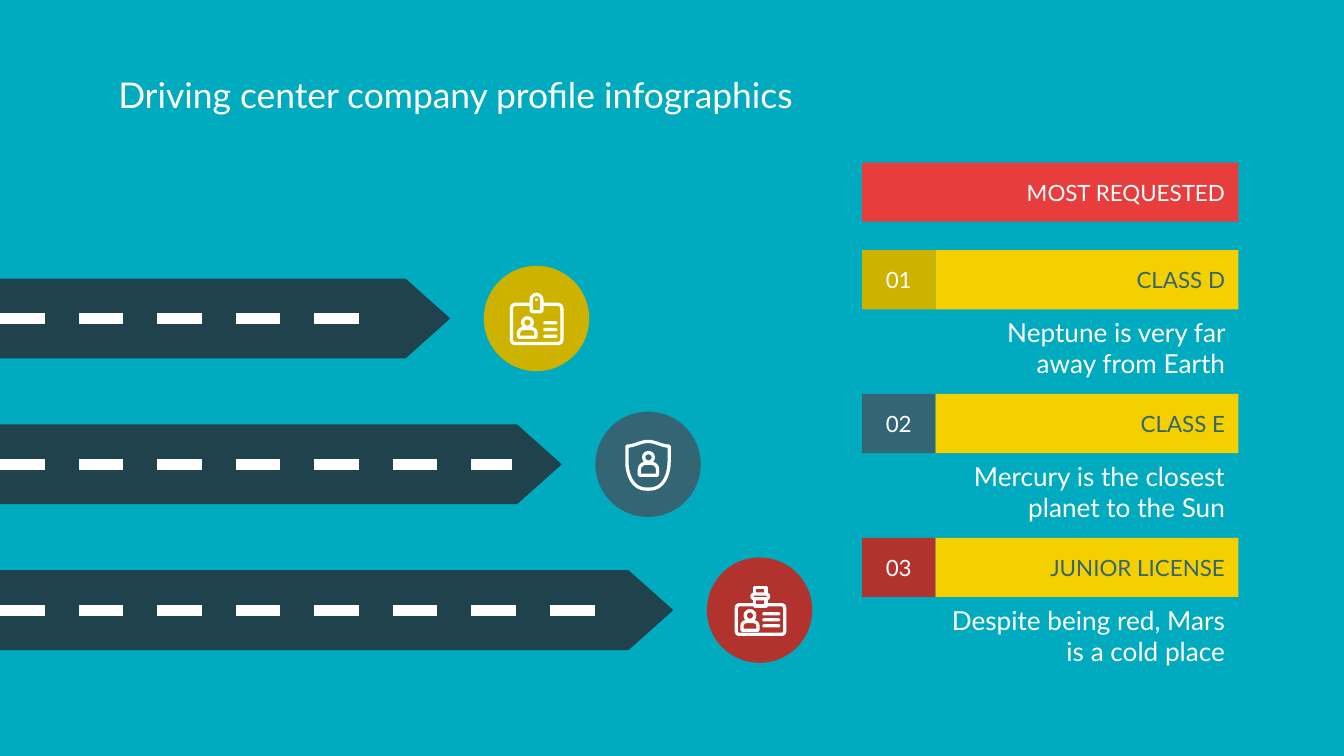
import math

from lxml import etree
from pptx import Presentation
from pptx.dml.color import RGBColor
from pptx.enum.dml import MSO_LINE
from pptx.enum.shapes import MSO_CONNECTOR, MSO_SHAPE
from pptx.enum.text import MSO_ANCHOR, PP_ALIGN
from pptx.oxml.ns import qn
from pptx.util import Inches, Pt

LEFT, CENTER, RIGHT = PP_ALIGN.LEFT, PP_ALIGN.CENTER, PP_ALIGN.RIGHT
TOP, MIDDLE = MSO_ANCHOR.TOP, MSO_ANCHOR.MIDDLE
RECTANGLE, ELLIPSE = MSO_SHAPE.RECTANGLE, MSO_SHAPE.OVAL
ROUNDED, ROUND_TOP = MSO_SHAPE.ROUNDED_RECTANGLE, MSO_SHAPE.ROUND_2_SAME_RECTANGLE
ARROW, STRAIGHT, DASH = MSO_SHAPE.RIGHT_ARROW, MSO_CONNECTOR.STRAIGHT, MSO_LINE.DASH

COLUMNS, ROWS = 100, 56.25  # square grid cells of a tenth of an inch
WHITE, TEAL, ASPHALT = "FFFFFF", "00ABBF", "1F424C"
YELLOW, GOLD, SLATE = "F4D000", "CEB200", "336574"
RED, BRICK = "E83D3D", "B2322E"


def grid(cells):
    return Inches(cells / 10)


def color(hex_string):
    return RGBColor.from_string(hex_string)


def write(shape, text, size=12, fill=WHITE, align=LEFT, anchor=MIDDLE):
    frame = shape.text_frame
    frame.word_wrap = True
    frame.vertical_anchor = anchor
    frame.margin_left = frame.margin_right = grid(1)
    frame.margin_top = frame.margin_bottom = grid(1)
    paragraph = frame.paragraphs[0]
    paragraph.alignment = align
    run = paragraph.add_run()
    run.text = text
    run.font.name, run.font.size = "Lato", Pt(size)
    run.font.color.rgb = color(fill)


class Board:
    """Holds the icon style and the current slide; lengths are grid cells."""

    stroke = 1.75

    def __init__(self, presentation):
        self.slide = presentation.slides.add_slide(presentation.slide_layouts[5])
        self.slide.background.fill.solid()
        self.slide.background.fill.fore_color.rgb = color(TEAL)

    def paint(self, shape, fill, line=None):
        shape.shadow.inherit = False
        shape.fill.solid()
        shape.fill.fore_color.rgb = color(fill)
        if line:
            shape.line.color.rgb = color(line)
            shape.line.width = Pt(self.stroke)
        else:
            shape.line.fill.background()

    def title(self, text, *box):
        shape = self.slide.shapes.title
        shape.left, shape.top, shape.width, shape.height = map(grid, box)
        write(shape, text, size=19, anchor=TOP)

    def block(self, kind, *box, fill, line=None, adjust=()):
        shape = self.slide.shapes.add_shape(kind, *map(grid, box))
        self.paint(shape, fill, line)
        for index, value in enumerate(adjust):
            shape.adjustments[index] = value
        return shape

    def label(self, text, *box, **style):
        write(self.slide.shapes.add_textbox(*map(grid, box)), text, **style)

    def dashes(self, left, right, y):
        line = self.slide.shapes.add_connector(
            STRAIGHT, grid(left), grid(y), grid(right), grid(y))
        line.line.color.rgb = color(WHITE)
        line.line.width = Pt(6)
        line.line.dash_style = DASH
        properties = line._element.spPr
        etree.SubElement(properties, qn("a:effectLst"))

    def outline(self, points, fill):
        start, *rest = [(grid(x), grid(y)) for x, y in points]
        builder = self.slide.shapes.build_freeform(*start)
        builder.add_line_segments(rest, close=True)
        self.paint(builder.convert_to_shape(), fill, WHITE)

    # Icon parts, drawn in white outline over the disc colour
    def person(self, x, y, width, height, fill):
        self.block(ROUND_TOP, x - width / 2, y + 0.45, width, height,
                   fill=fill, line=WHITE, adjust=(0.5, 0))
        self.block(ELLIPSE, x - 0.36, y - 0.36, 0.72, 0.72, fill=fill, line=WHITE)

    def text_bars(self, x, y, width, pitch):
        for index in range(3):
            self.block(ROUNDED, x, y + index * pitch, width, 0.24,
                       fill=WHITE, adjust=(0.5,))

    def clip_badge(self, x, y, fill):
        self.block(ROUNDED, x - 1.87, y - 1.05, 3.76, 2.92,
                   fill=fill, line=WHITE, adjust=(0.1,))
        self.block(ROUND_TOP, x - 0.4, y - 1.8, 0.8, 1.3,
                   fill=fill, line=WHITE, adjust=(0.5, 0.15))
        self.block(ELLIPSE, x - 0.1, y - 1.5, 0.2, 0.2, fill=WHITE)
        self.person(x - 0.68, y + 0.3, 1.3, 0.64, fill)
        self.text_bars(x + 0.5, y + 0.2, 1.05, 0.5)

    def shield(self, x, y, fill):
        half, top = 1.57, y - 1.5
        steps = [index / 12 for index in range(13)]
        edge = [(half * t, top - 0.2 + 0.35 * (1 - math.cos(math.pi * t)) / 2)
                for t in steps]
        edge += [(half * math.cos(math.pi / 2 * t) ** 0.8,
                  y - 0.2 + 2.05 * math.sin(math.pi / 2 * t)) for t in steps]
        mirrored = [(-offset, height) for offset, height in reversed(edge[1:-1])]
        self.outline([(x + offset, height) for offset, height in edge + mirrored], fill)
        self.person(x + 0.03, y - 0.52, 1.36, 0.88, fill)

    def lanyard_badge(self, x, y, fill):
        self.block(ROUNDED, x + 0.07 - 1.8, y - 0.4, 3.6, 2.2,
                   fill=fill, line=WHITE, adjust=(0.1,))
        for top in (-0.9, -1.7):
            self.block(RECTANGLE, x - 0.37, y + top, 0.84, 0.6, fill=fill, line=WHITE)
        self.block(ROUNDED, x - 0.57, y - 1.2, 1.24, 0.36,
                   fill=fill, line=WHITE, adjust=(0.5,))
        self.person(x - 0.72, y + 0.4, 1.2, 0.64, fill)
        self.text_bars(x + 0.2, y + 0.15, 1.34, 0.45)


def main():
    presentation = Presentation()
    presentation.slide_width, presentation.slide_height = grid(COLUMNS), grid(ROWS)
    board = Board(presentation)
    board.title("Driving center company profile infographics", 7.8, 4.4, 84.4, 6.3)

    # Header of the list
    header = board.block(RECTANGLE, 64.15, 12.1, 28, 4.4, fill=RED)
    write(header, "MOST REQUESTED", align=RIGHT)

    # One road, disc and list entry for each licence
    entries = [
        ("CLASS D", "Neptune is very far away from Earth", GOLD, 28.9, board.clip_badge),
        ("CLASS E", "Mercury is the closest planet to the Sun", SLATE, 38.1, board.shield),
        ("JUNIOR LICENSE", "Despite being red, Mars is a cold place", BRICK, 45.6,
         board.lanyard_badge),
    ]
    for index, (name, detail, accent, dash_end, icon) in enumerate(entries):
        # Road
        x, y = 8.3 * index, 23.7 + 10.85 * index
        board.block(ARROW, 0, y - 2.97, 33.5 + x, 5.94, fill=ASPHALT, adjust=(1, 0.56))
        board.dashes(0, dash_end, y)

        # Disc with its icon
        board.block(ELLIPSE, 36 + x, y - 3.92, 7.84, 7.84, fill=accent)
        icon(39.92 + x, y, accent)

        # List entry
        top = 18.62 + 10.7 * index
        bar = board.block(RECTANGLE, 69.6, top, 22.55, 4.4, fill=YELLOW)
        write(bar, name, fill=SLATE, align=RIGHT)
        board.label(detail, 69.6, top + 4.4, 22.55, 5.7, size=14, align=RIGHT)
        number = board.block(RECTANGLE, 64.15, top, 5.45, 4.4, fill=accent)
        write(number, f"{index + 1:02}", align=CENTER)

    presentation.save("out.pptx")


if __name__ == "__main__":
    main()
